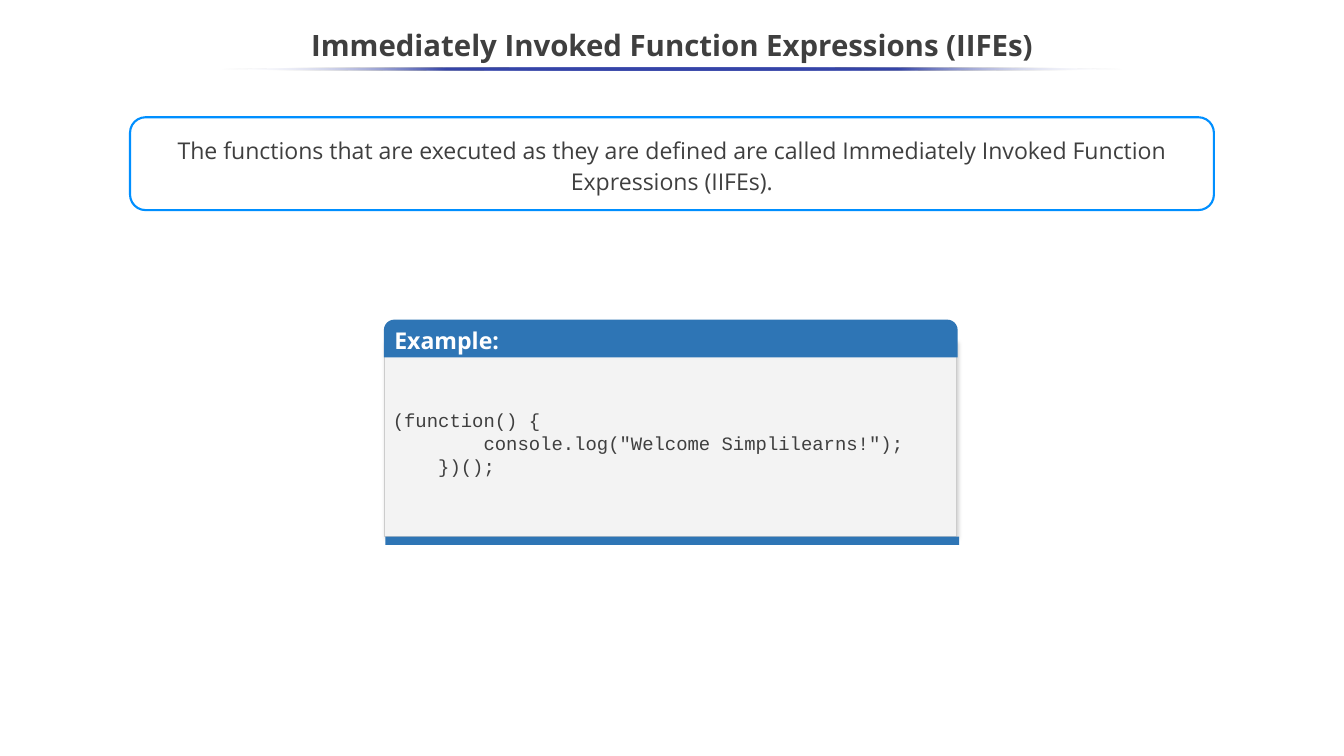
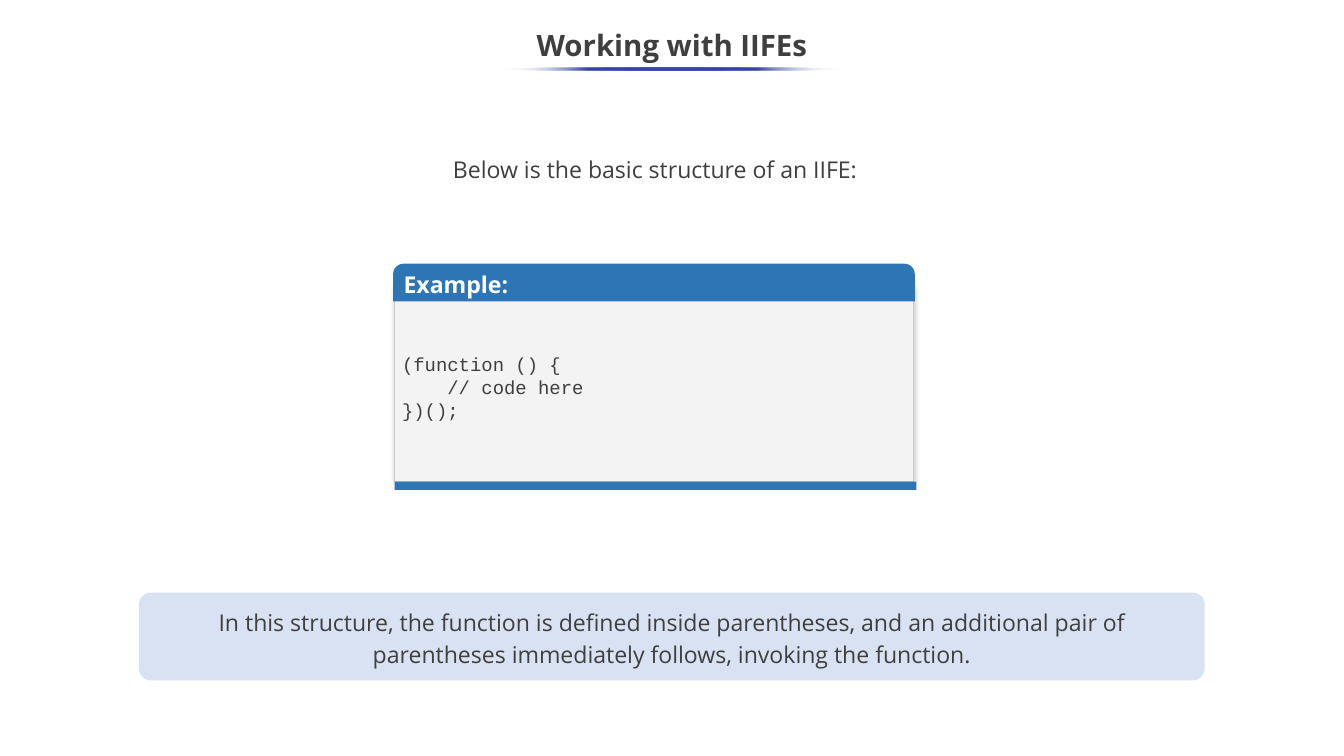
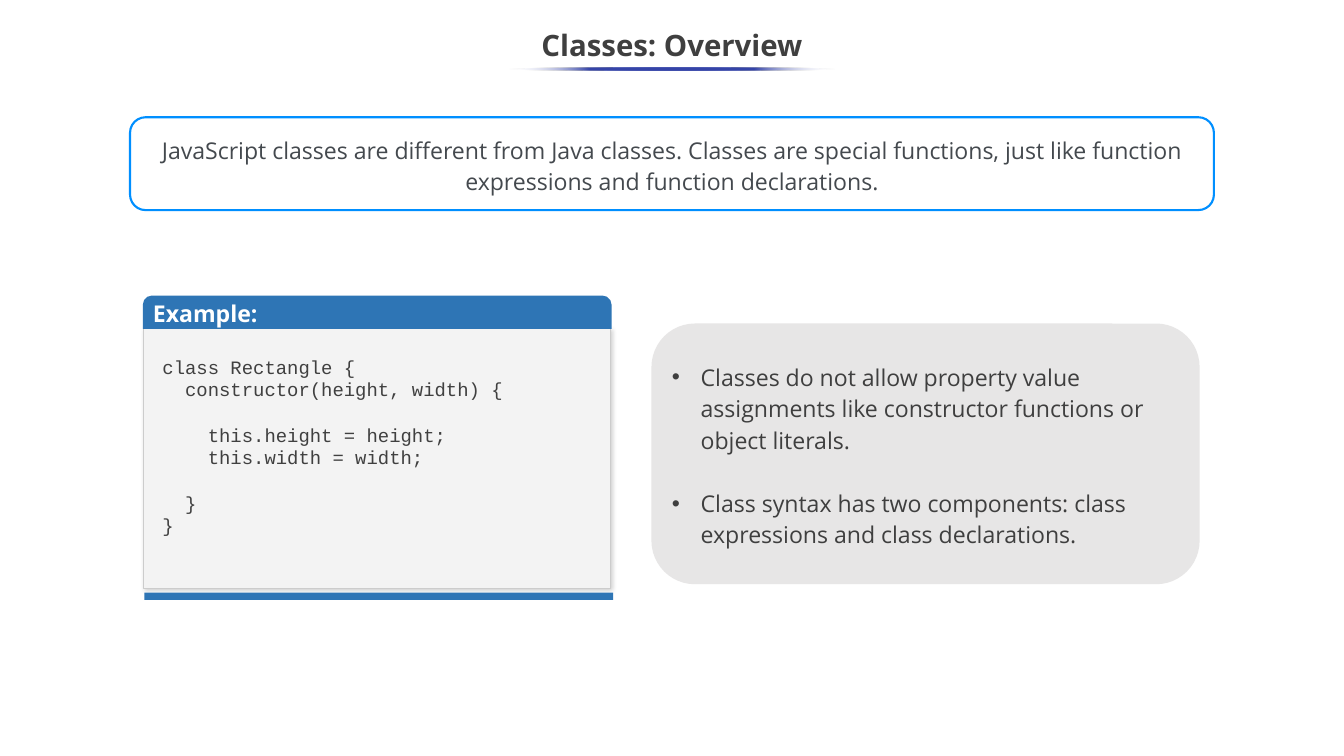
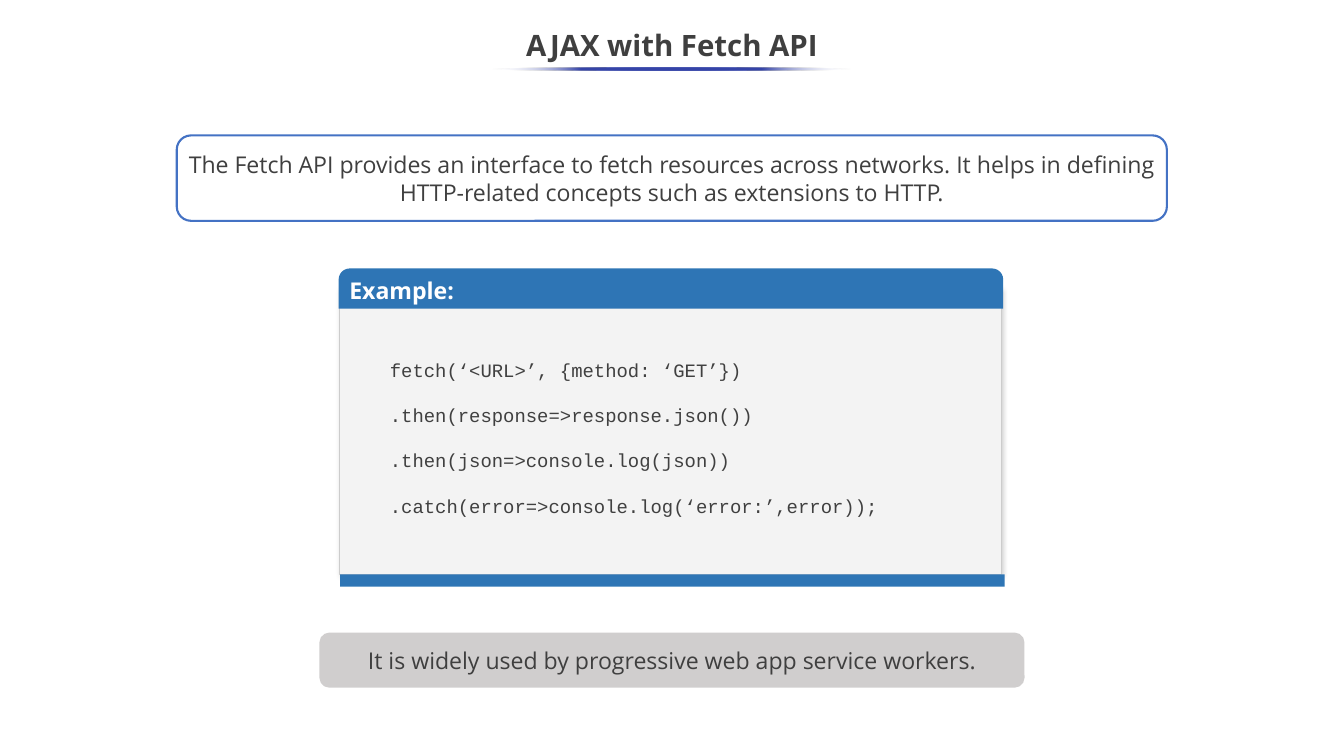
from dataclasses import dataclass
from typing import NamedTuple, Optional

from lxml.etree import SubElement
from pptx import Presentation
from pptx.dml.color import RGBColor
from pptx.enum.shapes import MSO_SHAPE
from pptx.enum.text import MSO_ANCHOR, MSO_AUTO_SIZE, PP_ALIGN
from pptx.oxml.ns import qn
from pptx.util import Cm, Pt

# Shared look
COLORS = {
    "ink": "3F3F3F",
    "code_ink": "404040",
    "slate": "44494E",
    "white": "FFFFFF",
    "header": "2E75B5",
    "code_fill": "F3F3F3",
    "code_edge": "CCCCCC",
    "underline": "3645A9",
    "sky": "008FFF",
    "royal": "4472C4",
    "pale_blue": "D8E2F3",
    "light_gray": "E7E6E6",
    "gray": "D0CECE",
    "shadow": "000000",
}
SANS, MONO = "Open Sans", "Courier New"
SLIDE_WIDTH, SLIDE_HEIGHT = 45.16, 25.4
TITLE_ONLY, TITLE_AND_BODY = 5, 1


class Box(NamedTuple):
    """Position and size in centimetres."""
    left: float
    top: float
    width: float
    height: float

    def lengths(self) -> list:
        return [Cm(value) for value in self]

    def inset(self, gap: float) -> "Box":
        return Box(self.left + gap, self.top + gap,
                   self.width - 2 * gap, self.height - 2 * gap)


TITLE_BOX = Box(-0.03, 0.64, 45.21, 1.9)
DEFINITION_BOX = Box(4.37, 3.94, 36.42, 3.12)


@dataclass
class Callout:
    box: Box
    text: str = ""
    fill: Optional[str] = None
    line: Optional[str] = None
    radius: float = 0.167
    spacing: float = 1.0
    ink: str = "ink"


@dataclass
class CodePanel:
    left: float
    width: float
    header_top: float
    header_height: float
    body_top: float
    body_height: float
    foot_top: float
    foot_height: float
    code_box: Box
    code: str
    ink: str = "ink"
    spacing: float = 1.0


def rgb(name: str) -> RGBColor:
    return RGBColor.from_string(COLORS[name])


def style(paragraph, size: float, ink: str, face: str = SANS,
          bold: bool = False, spacing: float = 1.0) -> None:
    paragraph.line_spacing = spacing
    paragraph.font.size = Pt(size)
    paragraph.font.name = face
    paragraph.font.bold = bold
    paragraph.font.color.rgb = rgb(ink)


def prepare_frame(frame, anchor=MSO_ANCHOR.MIDDLE) -> None:
    frame.word_wrap = True
    frame.auto_size = MSO_AUTO_SIZE.NONE
    frame.vertical_anchor = anchor


def place(placeholder, box: Box) -> None:
    (placeholder.left, placeholder.top,
     placeholder.width, placeholder.height) = box.lengths()


def add_block(shapes, kind, box: Box, fill: Optional[str] = None,
              line: Optional[str] = None, line_width: float = 2):
    block = shapes.add_shape(kind, *box.lengths())
    block.shadow.inherit = False
    if fill:
        block.fill.solid()
        block.fill.fore_color.rgb = rgb(fill)
    else:
        block.fill.background()
    if line:
        block.line.color.rgb = rgb(line)
        block.line.width = Pt(line_width)
    else:
        block.line.fill.background()
    return block


def add_soft_shadow(block) -> None:
    effects = block.element.spPr.find(qn("a:effectLst"))
    shadow = SubElement(effects, qn("a:outerShdw"), blurRad=str(Pt(4.5)),
                        dist=str(Pt(1.5)), dir=str(47 * 60000), algn="ctr")
    color = SubElement(shadow, qn("a:srgbClr"), val=COLORS["shadow"])
    SubElement(color, qn("a:alpha"), val="20000")


def add_underline(slide, width: float) -> None:
    """Centred rule under the title that fades out at both ends."""
    box = Box((SLIDE_WIDTH - width) / 2, 2.26, width, 0.1)
    underline = add_block(slide.shapes, MSO_SHAPE.OVAL, box)
    underline.fill.gradient()
    underline.fill.gradient_angle = 180
    stops = underline.element.spPr.find(".//" + qn("a:gsLst"))
    for stop in list(stops):
        stops.remove(stop)
    for percent in range(0, 101, 25):
        faded = percent in (0, 100)
        stop = SubElement(stops, qn("a:gs"), pos=str(percent * 1000))
        color = SubElement(stop, qn("a:srgbClr"),
                           val=COLORS["white" if faded else "underline"])
        if faded:
            SubElement(color, qn("a:alpha"), val="0")


def add_titled_slide(deck, title: str, underline_width: float,
                     layout: int = TITLE_ONLY):
    slide = deck.slides.add_slide(deck.slide_layouts[layout])
    heading = slide.shapes.title
    place(heading, TITLE_BOX)
    prepare_frame(heading.text_frame)
    heading.text_frame.text = title
    paragraph = heading.text_frame.paragraphs[0]
    paragraph.alignment = PP_ALIGN.CENTER
    style(paragraph, 28, "ink", bold=True, spacing=0.9)
    add_underline(slide, underline_width)
    return slide


def add_callout(slide, callout: Callout) -> None:
    block = add_block(slide.shapes, MSO_SHAPE.ROUNDED_RECTANGLE, callout.box,
                      callout.fill, callout.line)
    block.adjustments[0] = callout.radius
    if callout.text:
        prepare_frame(block.text_frame)
        block.text_frame.text = callout.text
        paragraph = block.text_frame.paragraphs[0]
        paragraph.alignment = PP_ALIGN.CENTER
        style(paragraph, 22, callout.ink, spacing=callout.spacing)


def add_code_panel(slide, panel: CodePanel) -> None:
    shapes = slide.shapes.add_group_shape().shapes

    # Body, header and foot
    body = add_block(shapes, MSO_SHAPE.RECTANGLE,
                     Box(panel.left + 0.03, panel.body_top,
                         panel.width - 0.08, panel.body_height),
                     "code_fill", "code_edge", 0.75)
    add_soft_shadow(body)
    header = add_block(shapes, MSO_SHAPE.ROUND_2_SAME_RECTANGLE,
                       Box(panel.left, panel.header_top,
                           panel.width, panel.header_height), "header")
    header.adjustments[0] = 0.275
    header.adjustments[1] = 0
    prepare_frame(header.text_frame)
    header.text_frame.text = "Example:"
    label = header.text_frame.paragraphs[0]
    label.alignment = PP_ALIGN.LEFT
    style(label, 22, "white", bold=True)
    add_block(shapes, MSO_SHAPE.RECTANGLE,
              Box(panel.left + 0.05, panel.foot_top,
                  panel.width, panel.foot_height), "header")

    # Code: an empty line becomes space before the next one
    frame = shapes.add_textbox(*panel.code_box.lengths()).text_frame
    prepare_frame(frame, MSO_ANCHOR.TOP)
    paragraph, gap = frame.paragraphs[0], 0.0
    for number, code_line in enumerate(panel.code.split("\n")):
        if not code_line:
            gap = 21.6
            continue
        if number:
            paragraph = frame.add_paragraph()
            paragraph.space_before = Pt(gap)
        paragraph.text = code_line
        style(paragraph, 18, panel.ink, MONO, spacing=panel.spacing)
        gap = 0.0


def add_lead(slide, box: Box, text: str) -> None:
    frame = slide.shapes.add_textbox(*box.lengths()).text_frame
    prepare_frame(frame)
    frame.text = text
    paragraph = frame.paragraphs[0]
    paragraph.alignment = PP_ALIGN.CENTER
    style(paragraph, 22, "ink", spacing=1.15)


def add_bullets(slide, box: Box, items: list) -> None:
    bullets = slide.placeholders[1]
    place(bullets, box)
    # Bring the list in front of the panel behind it
    bullets.element.getparent().append(bullets.element)
    frame = bullets.text_frame
    prepare_frame(frame)
    for number, item in enumerate(items):
        paragraph = frame.add_paragraph() if number else frame.paragraphs[0]
        paragraph.text = item
        properties = paragraph._p.get_or_add_pPr()
        properties.set("marL", str(Cm(0.97)))
        properties.set("indent", str(-Cm(0.97)))
        color = SubElement(properties, qn("a:buClr"))
        SubElement(color, qn("a:srgbClr"), val=COLORS["ink"])
        SubElement(properties, qn("a:buFont"), typeface="Arial")
        SubElement(properties, qn("a:buChar"), char="•")
        paragraph.alignment = PP_ALIGN.LEFT
        paragraph.space_before = Pt(30 if number else 0)
        style(paragraph, 22, "ink", spacing=1.14)


def build_iife_definition(deck) -> None:
    slide = add_titled_slide(
        deck, "Immediately Invoked Function Expressions (IIFEs)", 30.35)
    add_code_panel(slide, CodePanel(
        left=12.9, width=19.28, header_top=10.74, header_height=1.27,
        body_top=11.48, body_height=6.55, foot_top=18.03, foot_height=0.28,
        code_box=Box(12.95, 13.61, 19.28, 2.57),
        code='''(function() {
        console.log("Welcome Simplilearns!");
    })();'''))
    add_callout(slide, Callout(
        DEFINITION_BOX,
        "The functions that are executed as they are defined are called "
        "Immediately Invoked Function Expressions (IIFEs).",
        fill="white", line="sky", spacing=1.15))


def build_iife_structure(deck) -> None:
    slide = add_titled_slide(deck, "Working with IIFEs", 11.38)
    add_lead(slide, Box(4.37, 5.08, 35.28, 1.07),
             "Below is the basic structure of an IIFE:")
    add_code_panel(slide, CodePanel(
        left=13.21, width=17.53, header_top=8.86, header_height=1.27,
        body_top=9.63, body_height=6.55, foot_top=16.18, foot_height=0.28,
        code_box=Box(13.26, 11.73, 16.26, 4.11),
        code='''(function () {
    // code here
})();'''))
    add_callout(slide, Callout(
        Box(4.67, 19.91, 35.81, 2.95),
        "In this structure, the function is defined inside parentheses, and "
        "an additional pair of parentheses immediately follows, invoking the "
        "function.",
        fill="pale_blue", radius=0.135, spacing=1.14))


def build_classes(deck) -> None:
    slide = add_titled_slide(deck, "Classes: Overview", 10.97, TITLE_AND_BODY)
    add_callout(slide, Callout(
        DEFINITION_BOX,
        "JavaScript classes are different from Java classes. Classes are "
        "special functions, just like function expressions and function "
        "declarations.",
        fill="white", line="sky", spacing=1.14, ink="slate"))
    add_code_panel(slide, CodePanel(
        left=4.8, width=15.75, header_top=9.93, header_height=1.12,
        body_top=11.05, body_height=8.71, foot_top=19.91, foot_height=0.25,
        code_box=Box(5.21, 11.81, 15.04, 6.4), ink="code_ink",
        code='''class Rectangle {
  constructor(height, width) {

    this.height = height;
    this.width = width;

  }
}'''))
    notes_box = Box(21.89, 10.87, 18.42, 8.76)
    add_callout(slide, Callout(notes_box, fill="light_gray"))
    add_bullets(slide, notes_box.inset(0.43), [
        "Classes do not allow property value assignments like constructor "
        "functions or object literals.",
        "Class syntax has two components: class expressions and class "
        "declarations.",
    ])


def build_fetch(deck) -> None:
    slide = add_titled_slide(deck, "AJAX with Fetch API", 12.09)
    add_callout(slide, Callout(
        Box(5.94, 4.55, 33.27, 2.87),
        "The Fetch API provides an interface to fetch resources across "
        "networks. It helps in defining HTTP-related concepts such as "
        "extensions to HTTP.",
        line="royal"))
    add_code_panel(slide, CodePanel(
        left=11.38, width=22.33, header_top=9.02, header_height=1.35,
        body_top=9.68, body_height=9.63, foot_top=19.3, foot_height=0.41,
        code_box=Box(12.85, 11.15, 19.02, 6.4), ink="code_ink", spacing=2.0,
        code='''fetch(‘<URL>’, {method: ‘GET’})
.then(response=>response.json())
.then(json=>console.log(json))
.catch(error=>console.log(‘error:’,error));'''))
    add_callout(slide, Callout(
        Box(10.77, 21.29, 23.62, 1.78),
        "It is widely used by progressive web app service workers.",
        fill="gray", line="gray"))


def main() -> None:
    deck = Presentation()
    deck.slide_width, deck.slide_height = Cm(SLIDE_WIDTH), Cm(SLIDE_HEIGHT)
    build_iife_definition(deck)
    build_iife_structure(deck)
    build_classes(deck)
    build_fetch(deck)
    deck.save("out.pptx")


if __name__ == "__main__":
    main()
